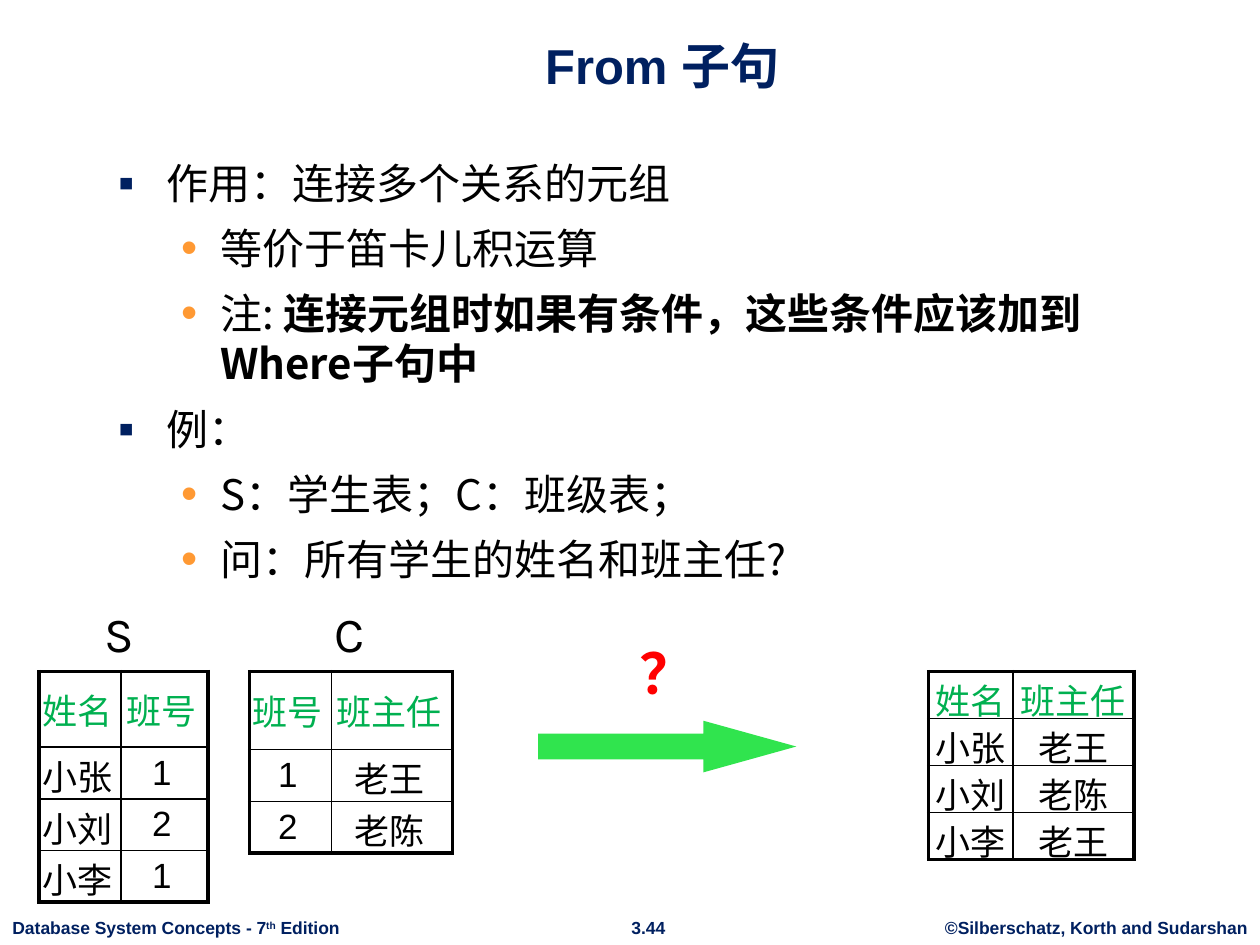
import pptx
import pptx.util
import pptx.dml.color
import pptx.enum.text
import pptx.enum.shapes
import pptx.oxml.ns
import lxml.etree

Pt = pptx.util.Pt
RGB = pptx.dml.color.RGBColor
ALIGN = pptx.enum.text.PP_ALIGN
ANCHOR = pptx.enum.text.MSO_ANCHOR

NAVY = RGB(0x00, 0x20, 0x60)
BLACK = RGB(0, 0, 0)
WHITE = RGB(255, 255, 255)
GREEN = RGB(0x00, 0xB0, 0x50)
LIME = RGB(0x30, 0xE4, 0x4E)
RED = RGB(255, 0, 0)
ORANGE = RGB(0xFF, 0x99, 0x33)
HAN = "Noto Sans CJK SC"

COLS, ROWS = 100, 75
WIDE, HIGH = pptx.util.Inches(10), pptx.util.Inches(7.5)

FOOT = {"size": Pt(10), "name": "Arial", "bold": True, "color": NAVY}
HEAD = {"size": Pt(28), "name": "Arial", "bold": True, "color": NAVY}
BODY = {"size": Pt(24), "name": HAN, "color": BLACK}
CELL = {"size": Pt(20), "name": "Arial", "color": BLACK}
NAME = {"size": Pt(28), "name": "Karla", "color": BLACK}
ASK = {"size": Pt(32), "name": "Karla", "bold": True, "color": RED}

# mark, colour, left margin and hanging indent in columns
LEVELS = [("▪", NAVY, 3.8, 3.8), ("•", ORANGE, 8.1, 3.1)]
POINTS = [
    (0, [("作用：连接多个关系的元组", False)]),
    (1, [("等价于笛卡儿积运算", False)]),
    (1, [("注: ", False),
         ("连接元组时如果有条件，这些条件应该加到Where子句中", True)]),
    (0, [("例：", False)]),
    (1, [("S：学生表；C：班级表；", False)]),
    (1, [("问：所有学生的姓名和班主任?", False)]),
]

# corner, column widths, row heights, side margins, cell rows
TABLES = [
    ((73.7, 53.3), (6.7, 9.6), (3.4,) * 4, (0.2, 0.2),
     ["姓名 班主任", "小张 老王", "小刘 老陈", "小李 老王"]),
    ((3.1, 53.3), (6.5, 6.9), (6, 4.1, 4.1, 4.1), (0, 0.4),
     ["姓名 班号", "小张 1", "小刘 2", "小李 1"]),
    ((19.8, 53.3), (6.5, 9.6), (6.2, 4.1, 4.1), (0, 0.4),
     ["班号 班主任", "1 老王", "2 老陈"]),
]


def across(n):
    return round(WIDE * n / COLS)


def down(n):
    return round(HIGH * n / ROWS)


def place(box):
    x, y, w, h = box
    return across(x), down(y), across(w), down(h)


def sub(node, tag, **attrs):
    return lxml.etree.SubElement(node, pptx.oxml.ns.qn(tag), **attrs)


def write(para, text, form):
    run = para.add_run()
    run.text = text
    for key, val in form.items():
        if key == "color":
            run.font.color.rgb = val
        else:
            setattr(run.font, key, val)
    sub(run.font._element, "a:ea", typeface=HAN)
    return run


def frame(slide, box, wrap=False, anchor=ANCHOR.TOP):
    text = slide.shapes.add_textbox(*place(box)).text_frame
    text.word_wrap = wrap
    text.vertical_anchor = anchor
    return text


def label(slide, box, text, form, align=ALIGN.CENTER, **opts):
    para = frame(slide, box, **opts).paragraphs[0]
    para.alignment = align
    write(para, text, form)
    return para


def footer(slide, y, h):
    label(slide, (74, y, 26, h), "©Silberschatz, Korth and Sudarshan", FOOT)
    label(slide, (49, y, 4.9, h), "3.44", FOOT)
    para = label(slide, (0, y, 28.1, h), "Database System Concepts - 7", FOOT,
                 ALIGN.LEFT)
    write(para, "th", FOOT).font._element.set("baseline", "30000")
    write(para, " Edition", FOOT)


def bullet(para, level):
    mark, color, left, hang = LEVELS[level]
    props = para._p.get_or_add_pPr()
    props.set("marL", str(across(left)))
    props.set("indent", str(-across(hang)))
    sub(sub(props, "a:buClr"), "a:srgbClr", val=str(color))
    sub(props, "a:buSzPct", val="110000")
    sub(props, "a:buFont", typeface="Arial")
    sub(props, "a:buChar", char=mark)
    para.level = level


def points(slide, box):
    text = frame(slide, box, wrap=True)
    for i, (level, runs) in enumerate(POINTS):
        para = text.add_paragraph() if i else text.paragraphs[0]
        bullet(para, level)
        para.space_before = Pt(8.4 if i else 0)
        for words, bold in runs:
            write(para, words, {**BODY, "bold": bold})


def edge(cell, thick):
    """Draw the four borders; the sides named in thick are heavy."""
    props = cell._tc.get_or_add_tcPr()
    for i, side in enumerate("LRTB"):
        width = Pt(2.25 if side in thick else 1)
        line = lxml.etree.Element(pptx.oxml.ns.qn("a:ln" + side),
                                  w=str(int(width)))
        sub(sub(line, "a:solidFill"), "a:srgbClr", val=str(BLACK))
        props.insert(i, line)


def table(slide, spot, wides, highs, sides, lines):
    box = (*spot, sum(wides), sum(highs))
    grid = slide.shapes.add_table(len(highs), len(wides), *place(box)).table
    grid.first_row = grid.horz_banding = False
    for col, wide in zip(grid.columns, wides):
        col.width = across(wide)
    for r, line in enumerate(lines):
        grid.rows[r].height = down(highs[r])
        for c, word in enumerate(line.split()):
            cell = grid.cell(r, c)
            form = {"margin_left": across(sides[0]),
                    "margin_right": across(sides[1]),
                    "margin_top": down(0.2), "margin_bottom": down(0.2),
                    "vertical_anchor": ANCHOR.MIDDLE}
            for key, val in form.items():
                setattr(cell, key, val)
            cell.fill.solid()
            cell.fill.fore_color.rgb = WHITE
            rim = {"L": c == 0, "R": c == len(wides) - 1,
                   "T": r == 0, "B": r == len(highs) - 1}
            edge(cell, [side for side, on in rim.items() if on])
            para = cell.text_frame.paragraphs[0]
            para.alignment = ALIGN.CENTER
            write(para, word, CELL if r else {**CELL, "color": GREEN})


def arrow(slide, box):
    x, y, w, h = box
    kind = pptx.enum.shapes.MSO_SHAPE.RIGHT_ARROW
    shape = slide.shapes.add_shape(kind, *place(box))
    shape.adjustments[0], shape.adjustments[1] = 0.5, 1.8
    shape.shadow.inherit = False
    shape.fill.solid()
    shape.fill.fore_color.rgb = LIME
    shape.line.fill.background()
    label(slide, (x + 7, y - 7, 6.5, 6.5), "？", ASK)


def main():
    deck = pptx.Presentation()
    deck.slide_width, deck.slide_height = WIDE, HIGH
    slide = deck.slides.add_slide(deck.slide_layouts[6])
    footer(slide, 72.3, 2.7)
    label(slide, (8.4, 1.3, 88.3, 6.7), "From 子句", HEAD,
          wrap=True, anchor=ANCHOR.BOTTOM)
    points(slide, (8.4, 12, 84.3, 53.6))
    for item in TABLES:
        table(slide, *item)
    label(slide, (7.3, 47.4, 4.2, 5.7), "S", NAME, ALIGN.LEFT)
    label(slide, (25.6, 47.4, 4.4, 5.7), "C", NAME, ALIGN.LEFT)
    arrow(slide, (42.7, 57.2, 20.5, 4.1))
    deck.save("out.pptx")


if __name__ == "__main__":
    main()
